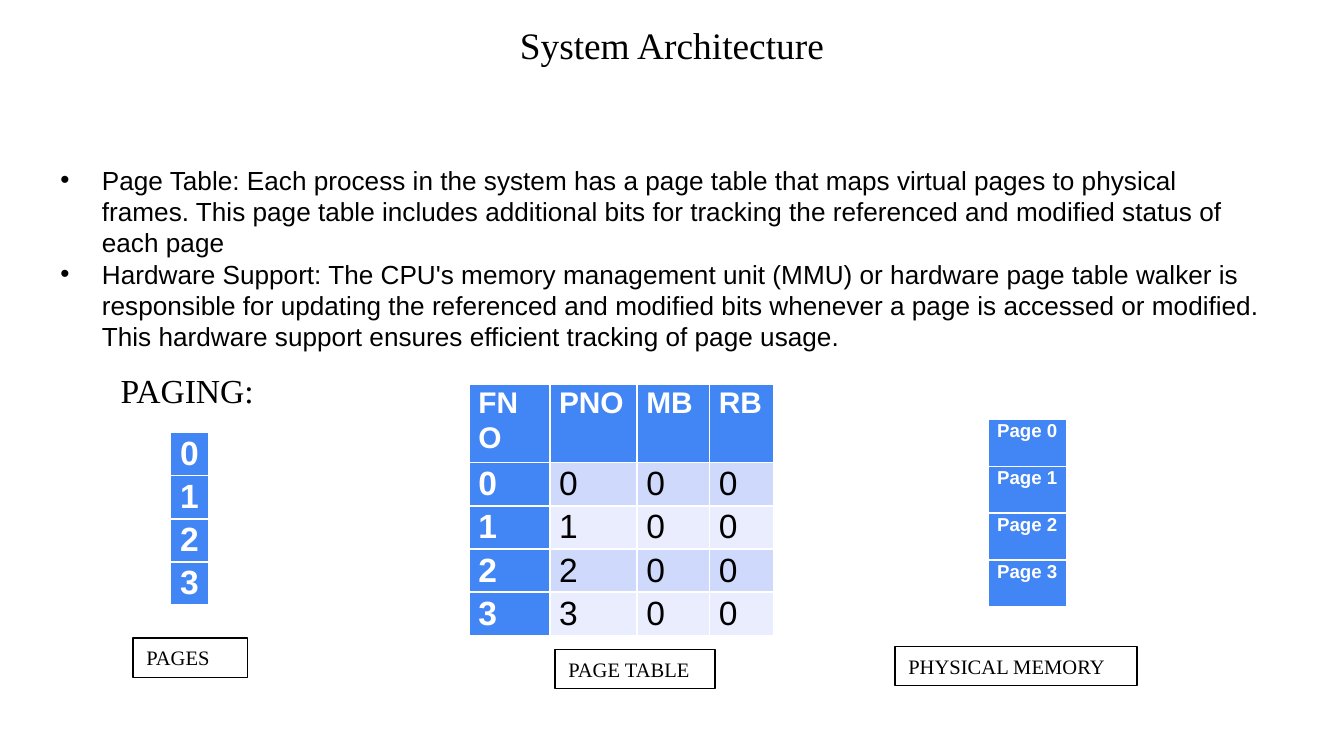
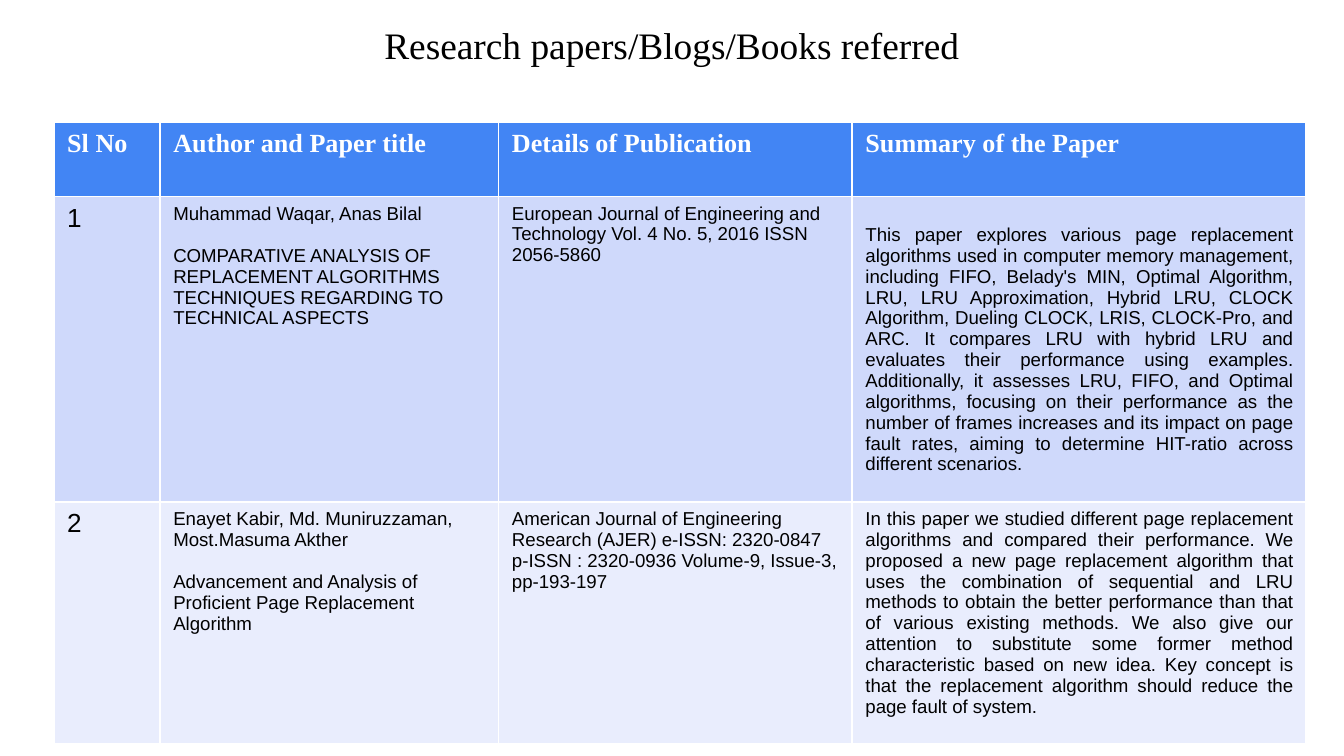
"""Build two slides on paging: the system layout and the papers referred."""
import pptx
import pptx.util
import pptx.dml.color
import pptx.enum.text
import pptx.enum.shapes
import lxml.etree

Pt, Inches = pptx.util.Pt, pptx.util.Inches
ALIGN = pptx.enum.text.PP_ALIGN
ANCHOR = pptx.enum.text.MSO_ANCHOR
FIT = pptx.enum.text.MSO_AUTO_SIZE.SHAPE_TO_FIT_TEXT
RECT = pptx.enum.shapes.MSO_SHAPE.RECTANGLE
HUES = {"ink": "000000", "white": "FFFFFF", "blue": "4285F4", "odd": "CFD9FB", "even": "E9EDFD"}
HUES = {name: pptx.dml.color.RGBColor.from_string(hue) for name, hue in HUES.items()}
SERIF, SANS = "Times New Roman", "Arial"

deck = pptx.Presentation()
deck.slide_width, deck.slide_height = Inches(10), Inches(5.625)
COL, ROW = deck.slide_width / 100, deck.slide_height / 100


def span(at):
    """Turn left, top, width, height in percent of the slide into lengths."""
    return [int(part * unit) for part, unit in zip(at, (COL, ROW, COL, ROW))]


def style(frame, size, font, hue="ink", bold=False):
    """Format every run in a text frame."""
    for par in frame.paragraphs:
        for run in par.runs:
            run.font.size, run.font.name, run.font.bold = Pt(size), font, bold
            run.font.color.rgb = HUES[hue]


slides = []
for name in ("System Architecture", "Research papers/Blogs/Books referred"):
    slide = deck.slides.add_slide(deck.slide_layouts[5])
    title = slide.shapes.title
    title.left, title.top, title.width, title.height = span((25, 2.1, 50, 7.8))
    frame = title.text_frame
    frame.text = name
    frame.vertical_anchor, frame.auto_size = ANCHOR.TOP, FIT
    frame.paragraphs[0].alignment = ALIGN.CENTER
    style(frame, 20, SERIF)
    slides.append(slide)
system, papers = slides

points = (
    "Page Table: Each process in the system has a page table that maps virtual pages to physical "
    "frames. This page table includes additional bits for tracking the referenced and modified "
    "status of each page",
    "Hardware Support: The CPU's memory management unit (MMU) or hardware page table walker is "
    "responsible for updating the referenced and modified bits whenever a page is accessed or "
    "modified. This hardware support ensures efficient tracking of page usage.",
)
frame = system.shapes.add_textbox(*span((3.5, 20.8, 91.9, 31.1))).text_frame
frame.word_wrap, frame.auto_size = True, FIT
frame.text = "\n".join(points)
style(frame, 14, SANS)
for par in frame.paragraphs:
    props = par._p.get_or_add_pPr()
    props.set("marL", str(Inches(0.31)))
    props.set("indent", str(-Inches(0.31)))
    for tag, key, value in (("buFont", "typeface", SANS), ("buChar", "char", "•")):
        mark = lxml.etree.SubElement(props, pptx.oxml.ns.qn("a:" + tag))
        mark.set(key, value)

table = [["FNO", "PNO", "MB", "RB"]] + [[str(n), str(n), "0", "0"] for n in range(4)]
pages = [[str(n)] for n in range(4)]
memory = [[f"Page {n}"] for n in range(4)]
works = [
    ["Sl No", "Author and Paper title", "Details of Publication", "Summary of the Paper"],
    [
        "1",
        "Muhammad Waqar, Anas Bilal\nCOMPARATIVE ANALYSIS OF REPLACEMENT ALGORITHMS TECHNIQUES "
        "REGARDING TO TECHNICAL ASPECTS",
        "European Journal of Engineering and Technology Vol. 4 No. 5, 2016 ISSN 2056-5860",
        "This paper explores various page replacement algorithms used in computer memory "
        "management, including FIFO, Belady's MIN, Optimal Algorithm, LRU, LRU Approximation, "
        "Hybrid LRU, CLOCK Algorithm, Dueling CLOCK, LRIS, CLOCK-Pro, and ARC. It compares LRU "
        "with hybrid LRU and evaluates their performance using examples. Additionally, it "
        "assesses LRU, FIFO, and Optimal algorithms, focusing on their performance as the number "
        "of frames increases and its impact on page fault rates, aiming to determine HIT-ratio "
        "across different scenarios.",
    ],
    [
        "2",
        "Enayet Kabir, Md. Muniruzzaman, Most.Masuma Akther\nAdvancement and Analysis of "
        "Proficient Page Replacement Algorithm",
        "American Journal of Engineering Research (AJER) e-ISSN: 2320-0847 p-ISSN : 2320-0936 "
        "Volume-9, Issue-3, pp-193-197",
        "In this paper we studied different page replacement algorithms and compared their "
        "performance. We proposed a new page replacement algorithm that uses the combination of "
        "sequential and LRU methods to obtain the better performance than that of various "
        "existing methods. We also give our attention to substitute some former method "
        "characteristic based on new idea. Key concept is that the replacement algorithm should "
        "reduce the page fault of system.",
    ],
]

grids = (
    (system, table, (34.9, 50.8), (6, 6.5, 5.4, 4.8), (10.4,) + (5.3,) * 4, 16, 18),
    (system, pages, (12.7, 57.2), (2.8,), (5.4,) * 4, 18, 18),
    (system, memory, (73.5, 55.5), (5.9,), (6.2,) * 4, 10, 10),
    (papers, works, (4, 16.2), (7.9, 25.2, 26.3, 33.8), (9.8, 40.4, 32), 14, 10),
)
for slide, data, spot, cols, rows, top, base in grids:
    at = span((*spot, sum(cols), sum(rows)))
    grid = slide.shapes.add_table(len(rows), len(cols), *at).table
    for col, wide in zip(grid.columns, cols):
        col.width = int(wide * COL)
    for row, high in zip(grid.rows, rows):
        row.height = int(high * ROW)
    tight = slide is system
    for r, line in enumerate(data):
        for c, words in enumerate(line):
            cell = grid.cell(r, c)
            frame = cell.text_frame
            frame.text = words
            dark = r == 0 or (tight and c == 0)
            cell.fill.solid()
            cell.fill.fore_color.rgb = HUES["blue" if dark else "odd" if r % 2 else "even"]
            size = top if r == 0 or (c == 0 and not tight) else base
            font = SERIF if r == 0 and not tight else SANS
            style(frame, size, font, "white" if dark else "ink", dark)
            if tight:
                cell.margin_left = cell.margin_right = Inches(0.07)
                cell.margin_top = cell.margin_bottom = 0
                frame.paragraphs[0].line_spacing = 1.07
            for par in frame.paragraphs[1:]:
                par.space_before = Pt(11.5)
            if data is pages or (r and c == 3 and not tight):
                frame.paragraphs[0].alignment = ALIGN.JUSTIFY
grid.cell(1, 3).margin_top = Inches(0.21)

for words, at in (
    ("PAGE TABLE", (41.3, 85.9, 11.9, 5.2)),
    ("PHYSICAL MEMORY", (66.6, 85.5, 18, 5.2)),
    ("PAGES", (9.9, 84.4, 8.5, 5.2)),
):
    label = system.shapes.add_shape(RECT, *span(at))
    label.shadow.inherit = False
    label.fill.solid()
    label.fill.fore_color.rgb = HUES["white"]
    label.line.color.rgb, label.line.width = HUES["ink"], Pt(0.75)
    frame = label.text_frame
    frame.text = words
    frame.vertical_anchor = ANCHOR.MIDDLE
    frame.paragraphs[0].alignment = ALIGN.LEFT
    style(frame, 11, SERIF)

frame = system.shapes.add_textbox(*span((8, 48.9, 12, 8.9))).text_frame
frame.margin_top = 0
frame.text = "PAGING:"
style(frame, 18, SERIF)

deck.save("out.pptx")
